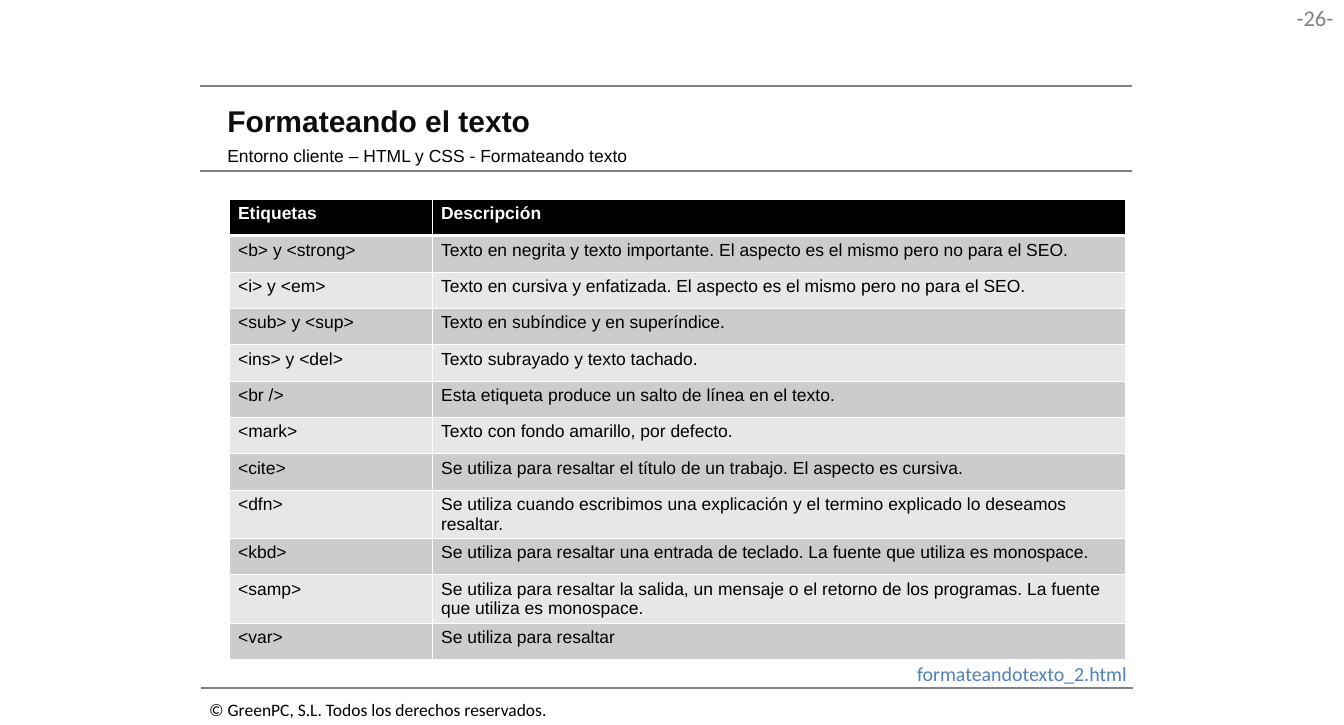
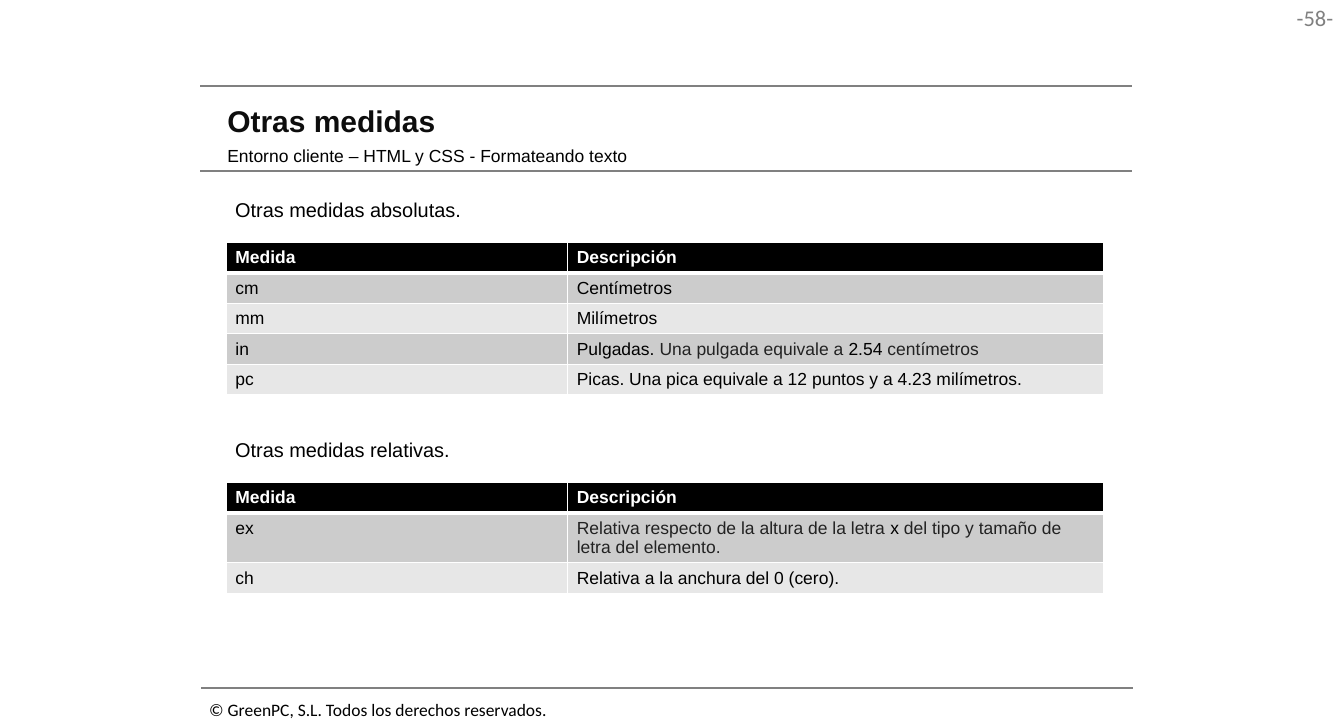
import dataclasses

import pptx
import pptx.dml.color
import pptx.enum.shapes
import pptx.enum.text
import pptx.shapes.autoshape
import pptx.slide
import pptx.table
import pptx.text.text
import pptx.util
from lxml import etree
from pptx.oxml.ns import qn

Inches = pptx.util.Inches
Color = pptx.dml.color.RGBColor
Align = pptx.enum.text.PP_ALIGN
Anchor = pptx.enum.text.MSO_ANCHOR


@dataclasses.dataclass(frozen=True)
class Theme:
    font: str = "Arial"
    frame_font: str = "Calibri"
    black: Color = Color.from_string("000000")
    white: Color = Color.from_string("FFFFFF")
    title: Color = Color.from_string("0D0D0D")
    quoted: Color = Color.from_string("222222")
    rule: Color = Color.from_string("808080")
    link: Color = Color.from_string("4F81BD")
    bands: tuple[Color, Color] = (Color.from_string("CCCCCC"), Color.from_string("E7E7E7"))
    title_size: int = 24
    number_size: int = 18
    heading_size: int = 16
    text_size: int = 14


THEME = Theme()


@dataclasses.dataclass(frozen=True)
class Box:
    left: float
    top: float
    width: float
    height: float

    def lengths(self) -> tuple[int, ...]:
        return tuple(Inches(value) for value in dataclasses.astuple(self))


@dataclasses.dataclass(frozen=True)
class Span:
    text: str
    color: Color = THEME.black


Row = tuple[str | tuple[Span, ...], ...]


@dataclasses.dataclass(frozen=True)
class Grid:
    box: Box
    columns: tuple[float, ...]
    header: tuple[str, ...]
    rows: tuple[Row, ...]
    margin: float = 0.05


@dataclasses.dataclass(frozen=True)
class Rule:
    left: float
    top: float
    width: float = 10.37


# Shared frame
RULES = (Rule(2.23, 0.96), Rule(2.23, 1.9), Rule(2.24, 7.66))
NUMBER_BOX = Box(14.13, 0, 0.82, 0.41)
COPYRIGHT_BOX = Box(2.23, 7.73, 3.99, 0.34)
TITLE_BOX = Box(2.4, 1.07, 10.12, 0.54)
SUBTITLE_BOX = Box(2.4, 1.55, 9.65, 0.37)
SUBTITLE = "Entorno cliente – HTML y CSS - Formateando texto"
COPYRIGHT = "© GreenPC, S.L. Todos los derechos reservados."

# Table content
TAGS = Grid(
    Box(2.55, 2.22, 9.98, 4.86),
    (2.26, 7.72),
    ("Etiquetas", "Descripción"),
    (
        ("<b> y <strong>", "Texto en negrita y texto importante. El aspecto es el mismo pero no para el SEO."),
        ("<i> y <em>", "Texto en cursiva y enfatizada. El aspecto es el mismo pero no para el SEO."),
        ("<sub> y <sup>", "Texto en subíndice y en superíndice."),
        ("<ins> y <del>", "Texto subrayado y texto tachado."),
        ("<br />", "Esta etiqueta produce un salto de línea en el texto."),
        ("<mark>", "Texto con fondo amarillo, por defecto."),
        ("<cite>", "Se utiliza para resaltar el título de un trabajo. El aspecto es cursiva."),
        ("<dfn>", "Se utiliza cuando escribimos una explicación y el termino explicado lo deseamos resaltar."),
        ("<kbd>", "Se utiliza para resaltar una entrada de teclado. La fuente que utiliza es monospace."),
        ("<samp>", "Se utiliza para resaltar la salida, un mensaje o el retorno de los programas. "
                   "La fuente que utiliza es monospace."),
        ("<var>", "Se utiliza para resaltar"),
    ),
)

UNIT_COLUMNS = (3.8, 5.96)
UNIT_HEADER = ("Medida", "Descripción")
ABSOLUTE_UNITS = Grid(
    Box(2.52, 2.7, 9.76, 1.67),
    UNIT_COLUMNS,
    UNIT_HEADER,
    (
        ("cm", "Centímetros"),
        ("mm", "Milímetros"),
        ("in", (Span("Pulgadas. "), Span("Una pulgada equivale a ", THEME.quoted),
                Span("2.54"), Span(" centímetros", THEME.quoted))),
        ("pc", "Picas. Una pica equivale a 12 puntos y a 4.23 milímetros."),
    ),
    margin=0.06,
)
RELATIVE_UNITS = Grid(
    Box(2.52, 5.37, 9.76, 1),
    UNIT_COLUMNS,
    UNIT_HEADER,
    (
        ("ex", (Span("Relativa respecto de la altura de la letra ", THEME.quoted), Span("x"),
                Span(" del tipo y tamaño de letra del elemento.", THEME.quoted))),
        ("ch", "Relativa a la anchura del 0 (cero)."),
    ),
    margin=0.06,
)


def write(para: pptx.text.text._Paragraph, text: str, *, size: int = THEME.text_size,
          font: str = THEME.font, color: Color = THEME.black, bold: bool = False) -> None:
    """Append formatted text to a paragraph."""
    run = para.add_run()
    run.text = text
    run.font.size = pptx.util.Pt(size)
    run.font.name = font
    run.font.color.rgb = color
    run.font.bold = bold


def fill_frame(frame: pptx.text.text.TextFrame, text: str, *, align: Align = Align.LEFT,
               anchor: Anchor = Anchor.TOP, inset: tuple[float, float] = (0.1, 0.05),
               wrap: bool = True, **style) -> None:
    frame.word_wrap = wrap
    frame.auto_size = pptx.enum.text.MSO_AUTO_SIZE.NONE
    frame.vertical_anchor = anchor
    frame.margin_left = frame.margin_right = Inches(inset[0])
    frame.margin_top = frame.margin_bottom = Inches(inset[1])
    para = frame.paragraphs[0]
    para.alignment = align
    write(para, text, **style)


def add_text(page: pptx.slide.Slide, box: Box, text: str, **style) -> None:
    fill_frame(page.shapes.add_textbox(*box.lengths()).text_frame, text, **style)


def add_rule(page: pptx.slide.Slide, rule: Rule) -> None:
    left, top = Inches(rule.left), Inches(rule.top)
    line = page.shapes.add_connector(
        pptx.enum.shapes.MSO_CONNECTOR.STRAIGHT, left, top, left + Inches(rule.width), top)
    line.line.color.rgb = THEME.rule
    line.line.width = pptx.util.Pt(1.5)
    etree.SubElement(line._element.spPr, qn("a:effectLst"))


def set_borders(cell: pptx.table._Cell, **widths: float) -> None:
    """Draw white borders; each keyword is a side and its width in points."""
    properties = cell._tc.get_or_add_tcPr()
    for side in ("L", "R", "T", "B"):
        width = pptx.util.Pt(widths.get(side, 1))
        border = etree.SubElement(properties, qn(f"a:ln{side}"), w=str(width))
        fill = etree.SubElement(border, qn("a:solidFill"))
        etree.SubElement(fill, qn("a:srgbClr"), val=str(THEME.white))


def add_grid(page: pptx.slide.Slide, grid: Grid) -> None:
    rows = (grid.header, *grid.rows)
    table = page.shapes.add_table(len(rows), len(grid.columns), *grid.box.lengths()).table
    for column, width in zip(table.columns, grid.columns):
        column.width = Inches(width)
    for row_index, row in enumerate(rows):
        is_header = row_index == 0
        for column_index, content in enumerate(row):
            cell = table.cell(row_index, column_index)
            set_borders(cell, T=3 if row_index == 1 else 1, B=3 if is_header else 1)
            cell.fill.solid()
            cell.fill.fore_color.rgb = THEME.black if is_header else THEME.bands[(row_index - 1) % 2]
            cell.margin_top = cell.margin_bottom = Inches(grid.margin)
            base = THEME.white if is_header else THEME.black
            spans = (Span(content, base),) if isinstance(content, str) else content
            for span in spans:
                write(cell.text_frame.paragraphs[0], span.text, color=span.color, bold=is_header)


def add_page(deck: pptx.presentation.Presentation, title: str, number: int) -> pptx.slide.Slide:
    """Add a slide with its title, subtitle, rules, number and copyright line."""
    page = deck.slides.add_slide(deck.slide_layouts.get_by_name("Title Only"))
    add_text(page, NUMBER_BOX, f"-{number}-", align=Align.RIGHT, inset=(0.11, 0.05), wrap=False,
             size=THEME.number_size, font=THEME.frame_font, color=THEME.rule)
    for rule in RULES:
        add_rule(page, rule)
    add_text(page, COPYRIGHT_BOX, COPYRIGHT, wrap=False, font=THEME.frame_font)

    heading = page.shapes.title
    heading.left, heading.top, heading.width, heading.height = TITLE_BOX.lengths()
    band = {"anchor": Anchor.MIDDLE, "inset": (0.13, 0.07)}
    fill_frame(heading.text_frame, title, size=THEME.title_size, color=THEME.title, bold=True, **band)
    add_text(page, SUBTITLE_BOX, SUBTITLE, **band)
    return page


def main() -> None:
    deck = pptx.Presentation()
    deck.slide_width, deck.slide_height = Inches(14.96), Inches(8.07)

    # Text formatting tags
    page = add_page(deck, "Formateando el texto", 26)
    add_grid(page, TAGS)
    add_text(page, Box(10.11, 7.32, 2.57, 0.37), "formateandotexto_2.html", wrap=False,
             size=THEME.heading_size, font=THEME.frame_font, color=THEME.link)

    # Units of measure
    page = add_page(deck, "Otras medidas", 58)
    for heading, grid in (("Otras medidas absolutas.", ABSOLUTE_UNITS),
                          ("Otras medidas relativas.", RELATIVE_UNITS)):
        box = dataclasses.replace(grid.box, top=grid.box.top - 0.55, height=0.37)
        add_text(page, box, heading, align=Align.JUSTIFY, size=THEME.heading_size)
        add_grid(page, grid)

    deck.save("out.pptx")


if __name__ == "__main__":
    main()
